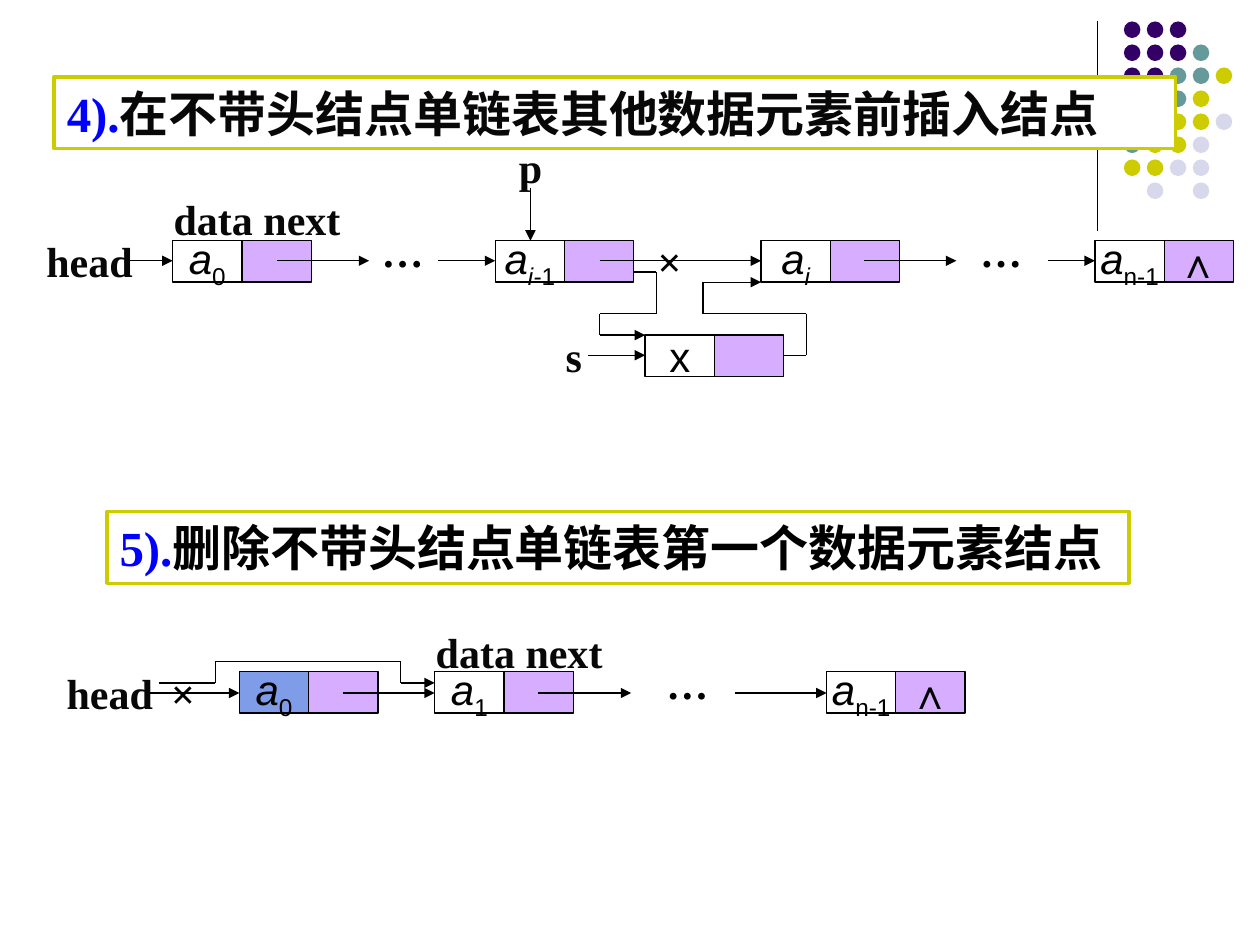
from itertools import pairwise

from lxml import etree
from pptx import Presentation
from pptx.dml.color import RGBColor
from pptx.enum import shapes, text
from pptx.oxml import ns
from pptx.util import Inches, Pt

BLACK = RGBColor(0, 0, 0)
INK = RGBColor(0x08, 0x08, 0x08)
BLUE = RGBColor(0, 0, 0xFF)
WHITE = RGBColor(0xFF, 0xFF, 0xFF)
OLIVE = RGBColor(0xCC, 0xCC, 0)
LILAC = RGBColor(0xD6, 0xAD, 0xFF)
REMOVED = RGBColor(0x7E, 0x9C, 0xE8)
DOT_COLORS = {
    "P": RGBColor(0x33, 0, 0x66),
    "T": RGBColor(0x66, 0x99, 0x99),
    "Y": OLIVE,
    "L": RGBColor(0xD8, 0xD8, 0xEC),
}
DOT_ROWS = ["PPP", "PPPT", "PPTTY", "  TY", "  YYL", "TYYL", "YYLL", " L L"]
CELL_W, CELL_H = 0.55, 0.33
SERIF = "Times New Roman"
A0 = [("a", True, False), ("0", False, True)]
A1 = [("a", True, False), ("1", False, True)]
AI = [("a", True, False), ("i", True, True)]
AI_PREV = [("a", True, False), ("i-", True, True), ("1", False, True)]
AN_LAST = [("a", True, False), ("n-1", False, True)]
X = [("x", False, False)]
END = [("∧", False, False)]


def set_font(font, size, name, color, bold=None):
    font.size, font.name, font.bold = Pt(size), name, bold
    font.color.rgb = color


def space_before_half(p):
    before = etree.SubElement(p._p.get_or_add_pPr(), ns.qn("a:spcBef"))
    etree.SubElement(before, ns.qn("a:spcPct")).set("val", "50000")


def add_line(s, start, end, arrow=False):
    line = s.shapes.add_connector(
        shapes.MSO_CONNECTOR.STRAIGHT, *(Inches(v) for v in (*start, *end)))
    line.line.color.rgb = BLACK
    line.line.width = Pt(0.75)
    if arrow:
        ln = line.line._get_or_add_ln()
        etree.SubElement(ln, ns.qn("a:tailEnd")).set("type", "triangle")
    etree.SubElement(line._element.spPr, ns.qn("a:effectLst"))


def add_path(s, *points):
    segments = list(pairwise(points))
    for i, (start, end) in enumerate(segments, 1):
        add_line(s, start, end, arrow=i == len(segments))


def add_dots(s):
    group = s.shapes.add_group_shape()
    for row, codes in enumerate(DOT_ROWS):
        for col, code in enumerate(codes):
            if code in DOT_COLORS:
                dot = group.shapes.add_shape(
                    shapes.MSO_SHAPE.OVAL, Inches(8.92 + col * 0.18),
                    Inches(0.17 + row * 0.18), Inches(0.13), Inches(0.13))
                dot.shadow.inherit = False
                dot.fill.solid()
                dot.fill.fore_color.rgb = DOT_COLORS[code]
                dot.line.fill.background()
    group.width, group.height = Inches(0.86), Inches(1.41)


def add_cell(s, x, y, runs, fill):
    sp = s.shapes.add_shape(shapes.MSO_SHAPE.RECTANGLE, Inches(x), Inches(y),
                            Inches(CELL_W), Inches(CELL_H))
    sp.shadow.inherit = False
    sp.line.color.rgb = BLACK
    sp.line.width = Pt(0.75)
    if fill is None:
        sp.fill.background()
    else:
        sp.fill.solid()
        sp.fill.fore_color.rgb = fill
    if not runs:
        return
    tf = sp.text_frame
    tf.word_wrap = False
    tf.vertical_anchor = text.MSO_ANCHOR.MIDDLE
    p = tf.paragraphs[0]
    p.alignment = text.PP_ALIGN.CENTER
    for content, italic, subscript in runs:
        r = p.add_run()
        r.text = content
        set_font(r.font, 24, "Arial", BLACK)
        r.font.italic = italic
        if subscript:
            r._r.get_or_add_rPr().set("baseline", "-25000")


def add_node(s, x, y, data, link=(), fill=None):
    add_cell(s, x, y, data, fill)
    add_cell(s, x + CELL_W, y, link, LILAC)


def add_label(s, content, x, y, w, color=INK, h=0.51):
    sp = s.shapes.add_textbox(Inches(x), Inches(y), Inches(w), Inches(h))
    tf = sp.text_frame
    tf.word_wrap = True
    tf.auto_size = text.MSO_AUTO_SIZE.SHAPE_TO_FIT_TEXT
    p = tf.paragraphs[0]
    space_before_half(p)
    r = p.add_run()
    r.text = content
    set_font(r.font, 24, SERIF, color, True)


def format_heading(sp, number, content, box, color):
    sp.left, sp.top, sp.width, sp.height = (Inches(v) for v in box)
    sp.fill.solid()
    sp.fill.fore_color.rgb = WHITE
    sp.line.color.rgb = OLIVE
    sp.line.width = Pt(2)
    tf = sp.text_frame
    tf.word_wrap = True
    tf.auto_size = text.MSO_AUTO_SIZE.NONE
    tf.vertical_anchor = text.MSO_ANCHOR.TOP
    p = tf.paragraphs[0]
    p.alignment = text.PP_ALIGN.LEFT
    space_before_half(p)
    for part, part_color in ((number, BLUE), (content, color)):
        r = p.add_run()
        r.text = part
        set_font(r.font, 28, SERIF, part_color, True)


def draw_insertion(s):
    y, mid = 1.91, 2.07
    for x, data, link in ((3.93, AI_PREV, ()), (1.37, A0, ()),
                          (6.04, AI, ()), (8.69, AN_LAST, END)):
        add_node(s, x, y, data, link)
    add_node(s, 5.12, 2.66, X)
    for x1, x2 in ((4.76, 6.04), (2.2, 2.93), (6.86, 7.59),
                   (8.32, 8.69), (1.01, 1.37), (3.48, 3.93)):
        add_line(s, (x1, mid), (x2, mid), True)
    add_line(s, (4.21, 1.49), (4.21, y), True)
    add_line(s, (4.67, 2.82), (5.12, 2.82), True)
    add_path(s, (5.03, 2.16), (5.21, 2.16), (5.21, 2.49),
             (4.76, 2.49), (4.76, 2.66), (5.12, 2.66))
    add_path(s, (6.22, 2.82), (6.4, 2.82), (6.4, 2.49),
             (5.58, 2.49), (5.58, 2.24), (6.04, 2.24))
    add_label(s, "head", 0.27, 1.82, 1.01)
    add_label(s, "data next", 1.28, 1.49, 1.56)
    add_label(s, "s", 4.39, 2.57, 0.46)
    for x in (2.93, 7.68):
        add_label(s, "…", x, 1.74, 0.82, BLACK, 0.5)
    add_label(s, "×", 5.12, 1.82, 0.55, BLACK, 0.5)


def draw_deletion(s):
    y, mid = 5.33, 5.5
    add_node(s, 1.9, y, A0, fill=REMOVED)
    add_node(s, 3.45, y, A1)
    add_node(s, 6.56, y, AN_LAST, END)
    for x1, x2 in ((1.16, 1.9), (2.72, 3.45), (4.27, 5.01), (5.83, 6.56)):
        add_line(s, (x1, mid), (x2, mid), True)
    add_path(s, (1.26, 5.42), (1.71, 5.42), (1.71, 5.25),
             (3.18, 5.25), (3.18, 5.42), (3.45, 5.42))
    add_label(s, "…", 5.19, 5.17, 0.82, BLACK, 0.5)
    add_label(s, "head", 0.43, 5.25, 1.05)
    add_label(s, "data next", 3.36, 4.92, 1.56)
    add_label(s, "×", 1.26, 5.25, 0.55, BLACK, 0.5)


def main():
    prs = Presentation()
    prs.slide_width, prs.slide_height = Inches(10), Inches(7.5)
    s = prs.slides.add_slide(prs.slide_layouts[5])
    add_line(s, (8.71, 0.17), (8.71, 1.83))
    add_dots(s)
    draw_insertion(s)
    title = s.shapes.title
    s.shapes._spTree.append(title._element)
    format_heading(title, "4).", "在不带头结点单链表其他数据元素前插入结点",
                   (0.43, 0.61, 8.9, 0.57), INK)
    add_label(s, "p", 4.02, 1.07, 0.46)
    heading = s.shapes.add_textbox(0, 0, 0, 0)
    format_heading(heading, "5).", "删除不带头结点单链表第一个数据元素结点",
                   (0.85, 4.06, 8.11, 0.57), BLACK)
    draw_deletion(s)
    prs.save("out.pptx")


main()
